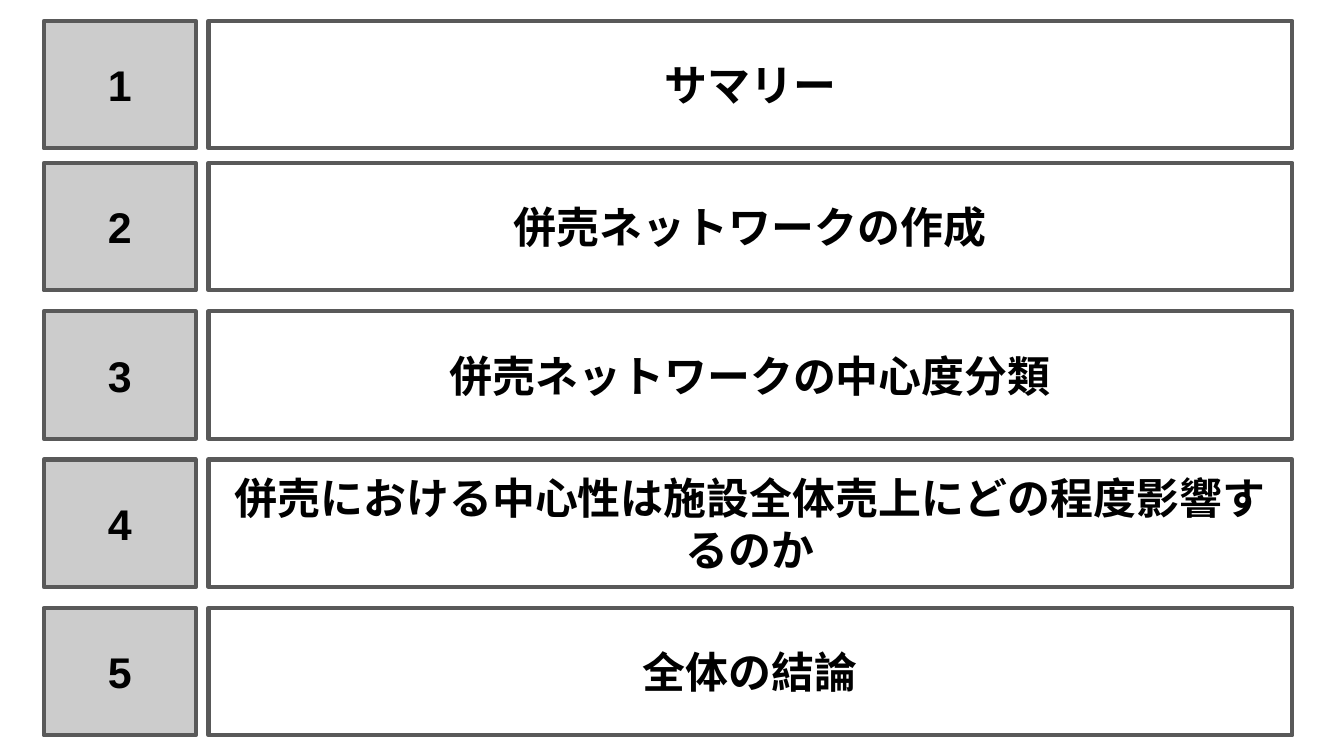
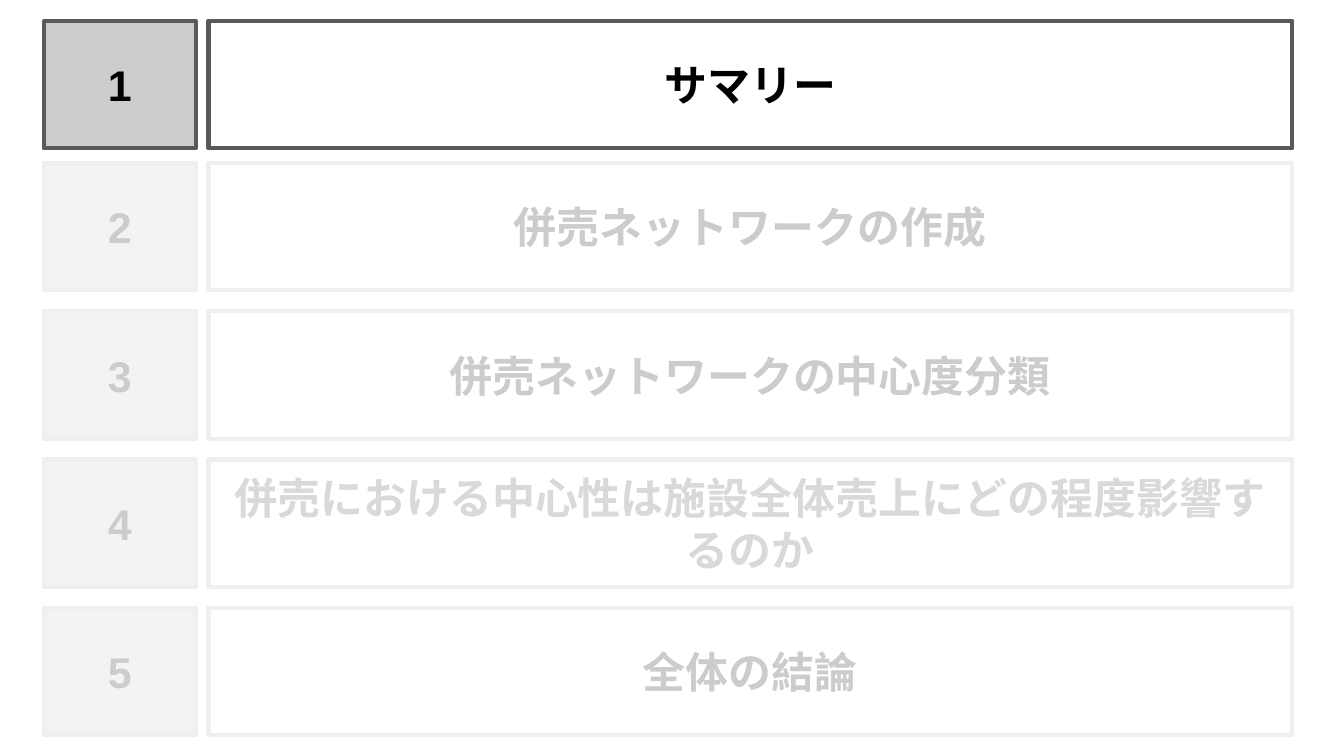
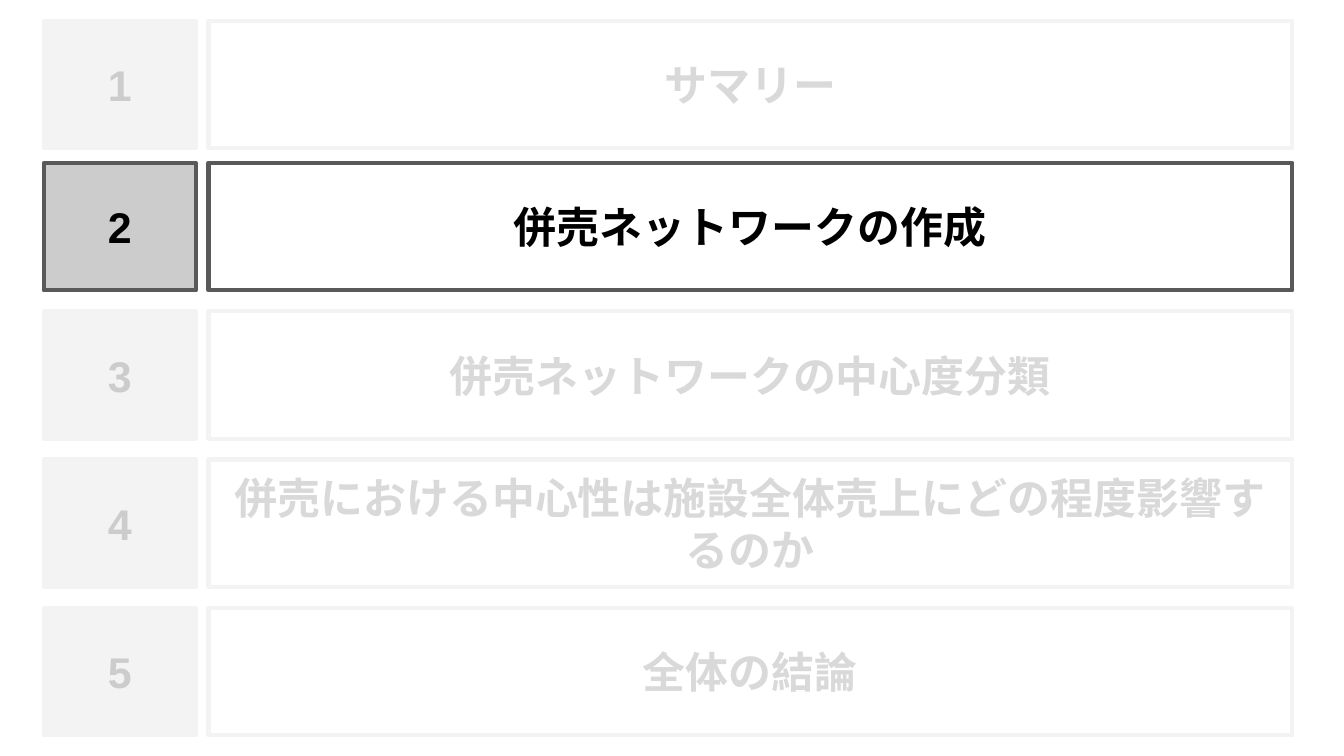
import dataclasses
from typing import Optional

import pptx
import pptx.dml.color
import pptx.enum.shapes
import pptx.enum.text
import pptx.util

Pt = pptx.util.Pt
RGBColor = pptx.dml.color.RGBColor

BLACK = RGBColor(0x00, 0x00, 0x00)
WHITE = RGBColor(0xFF, 0xFF, 0xFF)
DARK_GREY = RGBColor(0x59, 0x59, 0x59)
MID_GREY = RGBColor(0xCC, 0xCC, 0xCC)
SOFT_GREY = RGBColor(0xD9, 0xD9, 0xD9)
LIGHT_GREY = RGBColor(0xEF, 0xEF, 0xEF)
PALE_GREY = RGBColor(0xF3, 0xF3, 0xF3)

SLIDE_SIZE = (720, 405)
AGENDA_BOX = (23.5, 11.2, 692.4, 394)  # left, top, right, bottom
NUMBER_WIDTH = 81.4
COLUMN_GAP = 6.8
ROW_HEIGHT = 68.3
FIRST_STEP = 76.1  # the first row sits closer to the second
ROW_STEP = 79.45

CHAPTERS = [
    "サマリー",
    "併売ネットワークの作成",
    "併売ネットワークの中心度分類",
    "併売における中心性は施設全体売上にどの程度影響するのか",
    "全体の結論",
]


@dataclasses.dataclass(frozen=True)
class RowStyle:
    number_fill: RGBColor
    border: RGBColor
    number_color: RGBColor
    title_color: RGBColor
    title_fill: Optional[RGBColor] = None


# Row states: active chapter, and the faded ones around it
ACTIVE = RowStyle(MID_GREY, DARK_GREY, BLACK, BLACK)
FADED = RowStyle(PALE_GREY, LIGHT_GREY, MID_GREY, MID_GREY)
FADED_SOFT = dataclasses.replace(FADED, title_color=SOFT_GREY)
PALE = RowStyle(PALE_GREY, PALE_GREY, MID_GREY, SOFT_GREY)
PALE_WHITE = dataclasses.replace(PALE, title_fill=WHITE)

AGENDAS = [
    [ACTIVE] * 5,
    [ACTIVE, FADED, FADED, FADED_SOFT, FADED],
    [PALE, ACTIVE] + [PALE_WHITE] * 3,
]


def write_text(shape, text, *, color, size=23, bold=True, font="Arial"):
    frame = shape.text_frame
    frame.word_wrap = True
    frame.vertical_anchor = pptx.enum.text.MSO_ANCHOR.MIDDLE
    frame.margin_left = frame.margin_right = Pt(7.2)
    frame.margin_top = frame.margin_bottom = Pt(7.2)
    line = frame.paragraphs[0]
    line.alignment = pptx.enum.text.PP_ALIGN.CENTER
    run = line.add_run()
    run.text = text
    run.font.name = font
    run.font.size = Pt(size)
    run.font.bold = bold
    run.font.color.rgb = color


def add_cell(slide, box, text, *, fill, border, color):
    cell = slide.shapes.add_shape(
        pptx.enum.shapes.MSO_SHAPE.RECTANGLE, *(Pt(length) for length in box))
    cell.shadow.inherit = False
    if fill is None:
        cell.fill.background()
    else:
        cell.fill.solid()
        cell.fill.fore_color.rgb = fill
    cell.line.color.rgb = border
    cell.line.width = Pt(2.25)
    write_text(cell, text, color=color)


def add_chapter_row(slide, box, number, title, style):
    left, top, width, height = box
    # Number
    add_cell(slide, (left, top, NUMBER_WIDTH, height), str(number),
             fill=style.number_fill, border=style.border,
             color=style.number_color)
    # Title
    offset = NUMBER_WIDTH + COLUMN_GAP
    add_cell(slide, (left + offset, top, width - offset, height), title,
             fill=style.title_fill, border=style.border,
             color=style.title_color)


def add_agenda(slide, box, styles):
    left, top, right, _ = box
    for index, (title, style) in enumerate(zip(CHAPTERS, styles)):
        drop = FIRST_STEP + (index - 1) * ROW_STEP if index else 0
        row_box = (left, top + drop, right - left, ROW_HEIGHT)
        add_chapter_row(slide, row_box, index + 1, title, style)


def main():
    deck = pptx.Presentation()
    deck.slide_width, deck.slide_height = (Pt(side) for side in SLIDE_SIZE)
    blank = deck.slide_layouts[6]
    for styles in AGENDAS:
        add_agenda(deck.slides.add_slide(blank), AGENDA_BOX, styles)
    deck.save("out.pptx")


if __name__ == "__main__":
    main()
